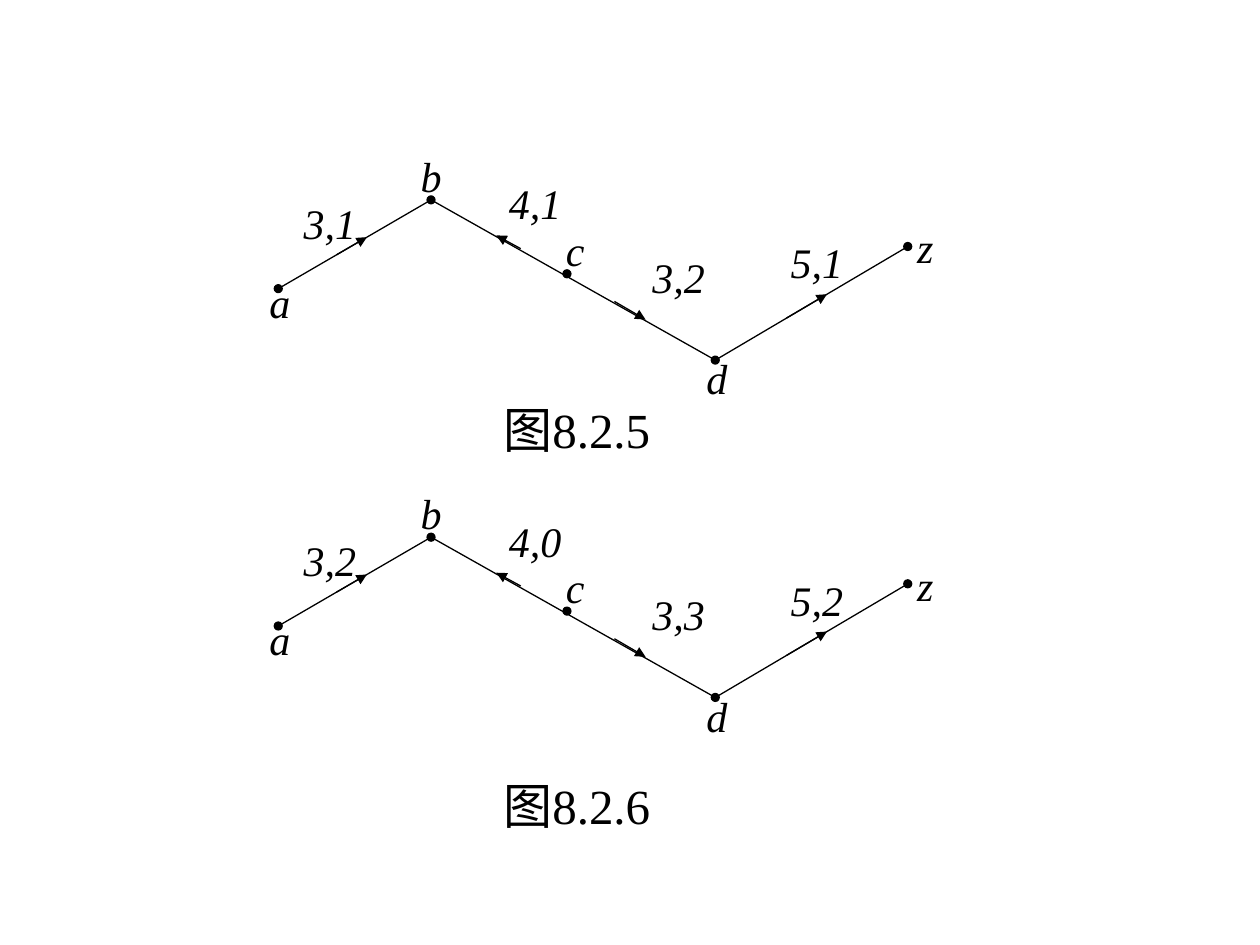
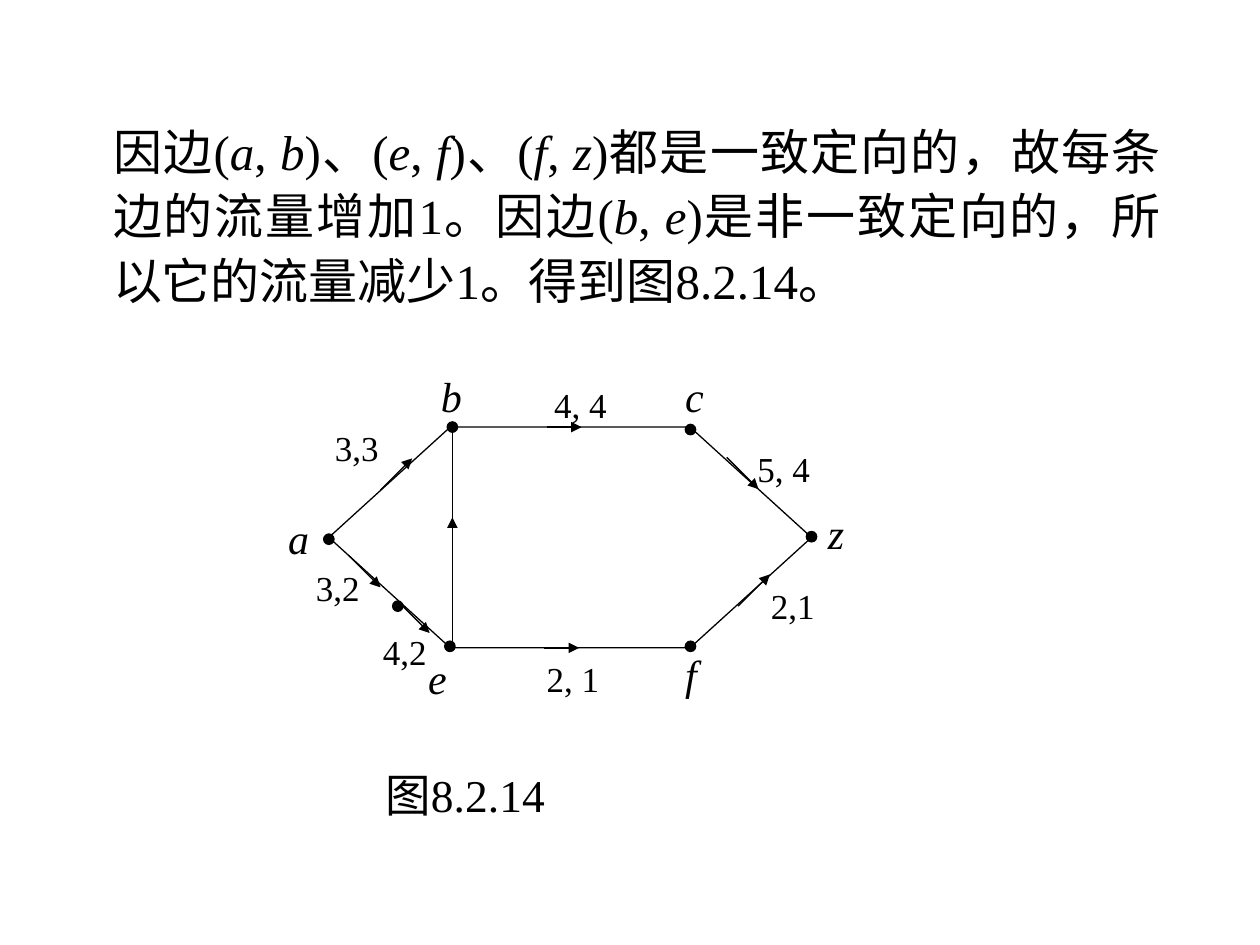
from dataclasses import dataclass

from lxml.etree import SubElement
from pptx import Presentation
from pptx.dml.color import RGBColor as Color
from pptx.enum.shapes import MSO_CONNECTOR as Wire, MSO_SHAPE as Shape
from pptx.enum.text import MSO_AUTO_SIZE as Fit, PP_ALIGN as Align
from pptx.oxml.ns import qn
from pptx.util import Cm, Pt


@dataclass(frozen=True)
class Theme:
    """Colours, type sizes and strokes shared by the slides."""

    ink: Color = Color(0, 0, 0)
    paper: Color = Color(255, 255, 255)
    font: str = "Times New Roman"
    body: float = 28
    node: float = 24
    small: float = 20
    note: float = 26
    line: float = 0.75


THEME = Theme()

PATH = {
    "a": (0.43, 2.92, -0.43, -0.38),
    "b": (3.51, 1.13, -0.46, -1.13),
    "c": (6.25, 2.62, -0.27, -1.12),
    "d": (9.24, 4.36, -0.43, -0.27),
    "z": (13.12, 2.07, -0.06, -0.62),
}
STEPS = [("a", "b", 0.38, 0.58), ("c", "b", 0.34, 0.52),
         ("c", "d", 0.32, 0.53), ("d", "z", 0.37, 0.58)]
SPOTS = [(0.69, 0.95), (4.83, 0.56), (7.72, 2.04), (10.51, 1.75)]

MESH = {
    "a": (1.07, 3.53, -1.07, -0.66),
    "b": (3.56, 1.27, -0.48, -1.27),
    "c": (8.36, 1.32, -0.36, -1.32),
    "z": (10.8, 3.48, 0.08, -0.71),
    "f": (8.36, 5.69, -0.36, -0.08),
    "e": (3.51, 5.69, -0.69, 0),
}
FLOWS = [(2.11, 2.54, 1, -1), (9.32, 4.88, 1, -1), (2.46, 4.78, 1, 1),
         (9.09, 1.88, 1, 1), (5.41, 5.72, 1.1, 0), (5.46, 1.27, 1.1, 0),
         (3.56, 3.73, 0, -1), (1.47, 3.86, 1, 1)]
LOADS = [("4, 4", 5.36, 0.27), ("2, 1", 5.21, 5.79), ("3,3", 0.94, 1.14),
         ("5, 4", 9.46, 1.55), ("2,1", 9.73, 4.32), ("4,2", 1.91, 5.24),
         ("3,2", 0.56, 3.95)]
PROSE = ("因边(|a|, |b|)、(|e|, |f|)、(|f|, |z|)都是一致定向的，故每条边的流量增加1。"
         "因边(|b|, |e|)是非一致定向的，所以它的流量减少1。得到图8.2.14。")


def style(run, size, slant=False):
    """Set the type of one run."""
    font = run.font
    font.name, font.size, font.italic = THEME.font, Pt(size), slant
    font.color.rgb = THEME.ink


def frame(shapes, box, wrap=False):
    """Add a text box that grows with its text and return its frame."""
    text = shapes.add_textbox(*map(Cm, box)).text_frame
    text.word_wrap = wrap
    text.auto_size = Fit.SHAPE_TO_FIT_TEXT
    return text


def label(shapes, text, box, size, slant=False):
    """Add a one-line label."""
    area = frame(shapes, box)
    area.text = text
    style(area.paragraphs[0].runs[0], size, slant)


def stroke(shape):
    """Set the outline of a shape or line."""
    shape.line.color.rgb = THEME.ink
    shape.line.width = Pt(THEME.line)


class Graph:
    """A grouped drawing placed from the top left of its box."""

    def __init__(self, slide, left, top):
        """Open the group at the given corner."""
        self.shapes = slide.shapes.add_group_shape().shapes
        self.left, self.top = left, top

    def at(self, x, y):
        """Turn a local point into a slide point."""
        return self.left + x, self.top + y

    def line(self, start, end, arrow=False):
        """Draw a line, with a head at its end if asked."""
        ends = map(Cm, self.at(*start) + self.at(*end))
        wire = self.shapes.add_connector(Wire.STRAIGHT, *ends)
        stroke(wire)
        if arrow:
            SubElement(wire.line._get_or_add_ln(), qn("a:tailEnd"), type="triangle")
        SubElement(wire._element.spPr, qn("a:effectLst"))

    def solid(self, kind, x, y, wide, high):
        """Add an outlined shape without a shadow."""
        shape = self.shapes.add_shape(kind, *map(Cm, self.at(x, y) + (wide, high)))
        shape.shadow.inherit = False
        stroke(shape)
        return shape

    def dot(self, x, y, size):
        """Mark a node centred on a point."""
        fill = self.solid(Shape.OVAL, x - size / 2, y - size / 2, size, size).fill
        fill.solid()
        fill.fore_color.rgb = THEME.ink

    def text(self, text, x, y, wide, size, slant=False):
        """Add a label at a local point."""
        label(self.shapes, text, self.at(x, y) + (wide, 1.2), size, slant)

    def nodes(self, table, size):
        """Draw every node with its name beside it."""
        for name, (x, y, dx, dy) in table.items():
            self.dot(x, y, size)
            self.text(name, x + dx, y + dy, 0.95, THEME.node, True)


def chain(slide, left, top, loads):
    """Draw the path from a to z with its edge loads."""
    graph = Graph(slide, left, top)
    spot = {name: row[:2] for name, row in PATH.items()}
    for start, end in ("ab", "bd", "dz"):
        graph.line(spot[start], spot[end])
    for start, end, *parts in STEPS:
        (ax, ay), (bx, by) = spot[start], spot[end]
        tail, tip = [(ax + (bx - ax) * t, ay + (by - ay) * t) for t in parts]
        graph.line(tail, tip, True)
    graph.nodes(PATH, 0.16)
    for load, (x, y) in zip(loads, SPOTS):
        graph.text(load, x, y, 1.7, THEME.node, True)


def mesh(slide, left, top):
    """Draw the six-sided network with its edge loads."""
    graph = Graph(slide, left, top)
    graph.line((3.56, 1.27), (3.56, 5.72))
    ring = graph.solid(Shape.HEXAGON, 1.07, 1.27, 9.73, 4.45)
    ring.adjustments[0] = 0.55
    ring.fill.background()
    step = 0.64
    for x, y, dx, dy in FLOWS:
        graph.line((x, y), (x + dx * step, y + dy * step), True)
    graph.nodes(MESH, 0.21)
    graph.dot(2.46, 4.88, 0.21)
    for load, x, y in LOADS:
        graph.text(load, x, y, 1.7, THEME.small)


def prose(slide, box):
    """Set the body text, with every second piece in italics."""
    para = frame(slide.shapes, box, True).paragraphs[0]
    para.alignment, para.line_spacing = Align.JUSTIFY, 1.1
    para._p.get_or_add_pPr().set("hangingPunct", "0")
    for rank, piece in enumerate(PROSE.split("|")):
        run = para.add_run()
        run.text = piece
        style(run, THEME.body, rank % 2 == 1)


def blank(deck):
    """Add an empty slide on plain paper."""
    slide = deck.slides.add_slide(deck.slide_layouts[6])
    fill = slide.background.fill
    fill.solid()
    fill.fore_color.rgb = THEME.paper
    return slide


def paths(deck):
    """Build the slide with the path before and after."""
    slide = blank(deck)
    chain(slide, 5.18, 2.9, ("3,1", "4,1", "3,2", "5,1"))
    chain(slide, 5.18, 9.7, ("3,2", "4,0", "3,3", "5,2"))
    for text, top in (("图8.2.5", 7.92), ("图8.2.6", 15.5)):
        label(slide.shapes, text, (9.9, top, 3.71, 1.45), THEME.body)


def network(deck):
    """Build the slide with the text and the network."""
    slide = blank(deck)
    prose(slide, (2.03, 2.2, 21.62, 4.17))
    mesh(slide, 5.56, 7.34)
    area = frame(slide.shapes, (7.52, 15.34, 8.81, 1.37), True)
    area.text = "图8.2.14"
    style(area.paragraphs[0].runs[0], THEME.note)


def main():
    """Build and save the deck."""
    deck = Presentation()
    deck.slide_width, deck.slide_height = Cm(25.4), Cm(19.05)
    paths(deck)
    network(deck)
    deck.save("out.pptx")


if __name__ == "__main__":
    main()
